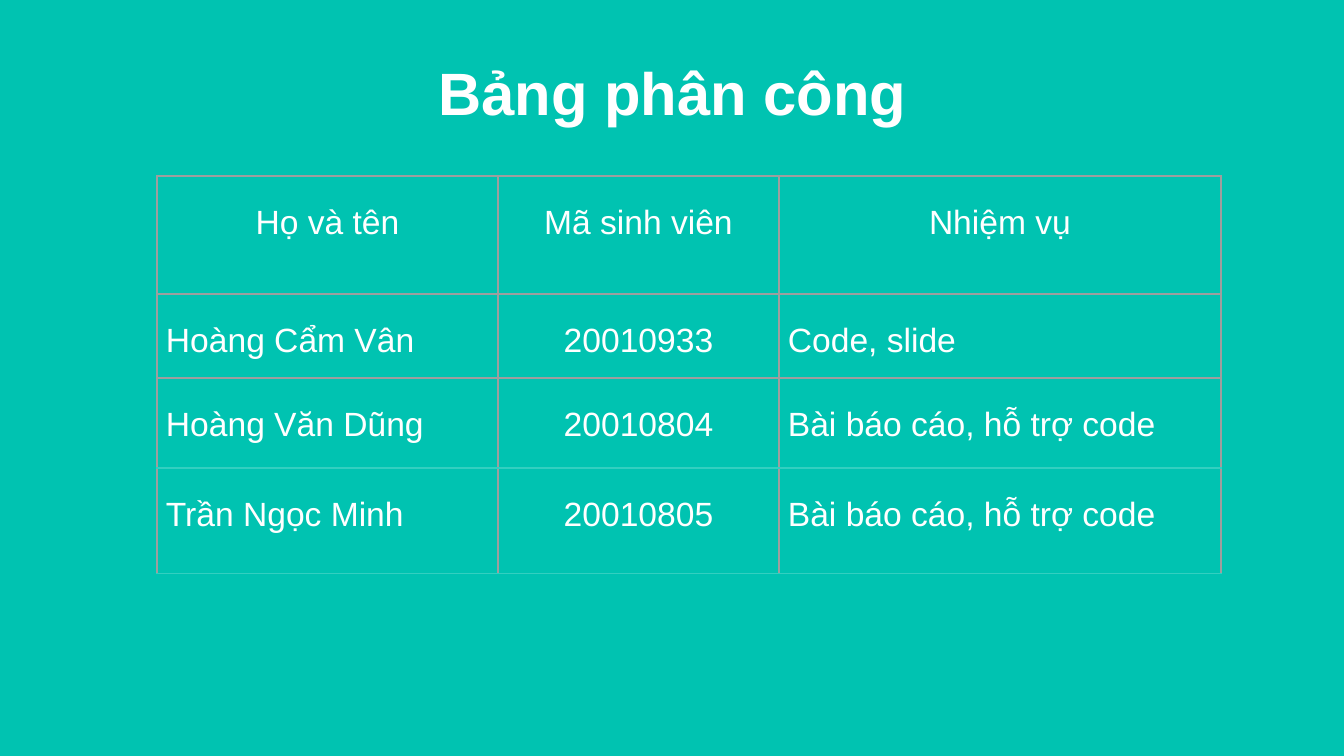
"""Build the slide with the table of assigned tasks."""
from dataclasses import dataclass

from lxml import etree
from pptx import Presentation
from pptx.dml.color import RGBColor
from pptx.enum.text import MSO_ANCHOR, PP_ALIGN
from pptx.oxml.ns import qn
from pptx.util import Emu, Pt

LEFT, MID = PP_ALIGN.LEFT, PP_ALIGN.CENTER
TOP = MSO_ANCHOR.TOP
SCALE = 914400 / 134.4
FONT = "Arial"
HUES = {"back": "00C3B1", "text": "FFFFFF", "line": "9E9E9E", "pale": "33CFC0"}
SIDES = ("lnL", "lnR", "lnT", "lnB")


@dataclass
class Column:
    head: str
    width: int
    align: PP_ALIGN
    items: tuple[str, ...]


@dataclass
class Row:
    height: int
    above: str
    below: str


TASK = "Bài báo cáo, hỗ trợ code"
COLUMNS = (
    Column("Họ và tên", 341, LEFT, ("Hoàng Cẩm Vân", "Hoàng Văn Dũng", "Trần Ngọc Minh")),
    Column("Mã sinh viên", 281, MID, ("20010933", "20010804", "20010805")),
    Column("Nhiệm vụ", 442, LEFT, ("Code, slide", TASK, TASK)),
)
ROWS = (
    Row(118, "line", "line"),
    Row(84, "line", "line"),
    Row(90, "line", "pale"),
    Row(106, "pale", "pale"),
)


def px(size: int) -> Emu:
    """Turn pixels into EMU."""
    return Emu(round(size * SCALE))


def style(frame, size: int, align: PP_ALIGN, bold: bool = False) -> None:
    """Format the one paragraph of a text frame."""
    para = frame.paragraphs[0]
    para.alignment = align
    font = para.runs[0].font
    font.name, font.size, font.bold = FONT, Pt(size), bold
    font.color.rgb = RGBColor.from_string(HUES["text"])


def edge(cell, row: Row) -> None:
    """Draw the four borders of a cell."""
    props = cell._tc.get_or_add_tcPr()
    for spot, (side, hue) in enumerate(zip(SIDES, ("line", "line", row.above, row.below))):
        line = etree.Element(qn(f"a:{side}"), w=str(Pt(0.75)))
        fill = etree.SubElement(line, qn("a:solidFill"))
        etree.SubElement(fill, qn("a:srgbClr"), val=HUES[hue])
        props.insert(spot, line)


def add_title(slide, text: str) -> None:
    """Add the slide title."""
    box = slide.shapes.add_textbox(px(353), px(43), px(656), px(85))
    frame = box.text_frame
    frame.word_wrap = True
    frame.vertical_anchor = TOP
    frame.margin_left = frame.margin_right = px(13)
    frame.margin_top = frame.margin_bottom = px(13)
    frame.text = text
    style(frame, 32, MID, True)


def add_tasks(slide) -> None:
    """Add the table of names, codes and tasks."""
    wide = sum(col.width for col in COLUMNS)
    tall = sum(row.height for row in ROWS)
    shape = slide.shapes.add_table(len(ROWS), len(COLUMNS), px(157), px(176), px(wide), px(tall))
    table = shape.table
    table.first_row = table.horz_banding = False
    for y, row in enumerate(ROWS):
        table.rows[y].height = px(row.height)
    for x, col in enumerate(COLUMNS):
        table.columns[x].width = px(col.width)
        for y, text in enumerate((col.head, *col.items)):
            cell = table.cell(y, x)
            cell.fill.background()
            cell.margin_left = cell.margin_right = px(9)
            cell.margin_top = cell.margin_bottom = px(9)
            cell.text_frame.text = text
            cell.text_frame.paragraphs[0].line_spacing = 1.5
            style(cell.text_frame, 18, col.align if y else MID)
            edge(cell, ROWS[y])


def main() -> None:
    """Build and save the deck."""
    deck = Presentation()
    deck.slide_width, deck.slide_height = px(1344), px(756)
    slide = deck.slides.add_slide(deck.slide_layouts[6])
    fill = slide.background.fill
    fill.solid()
    fill.fore_color.rgb = RGBColor.from_string(HUES["back"])
    add_tasks(slide)
    add_title(slide, "Bảng phân công ")
    deck.save("out.pptx")


if __name__ == "__main__":
    main()
